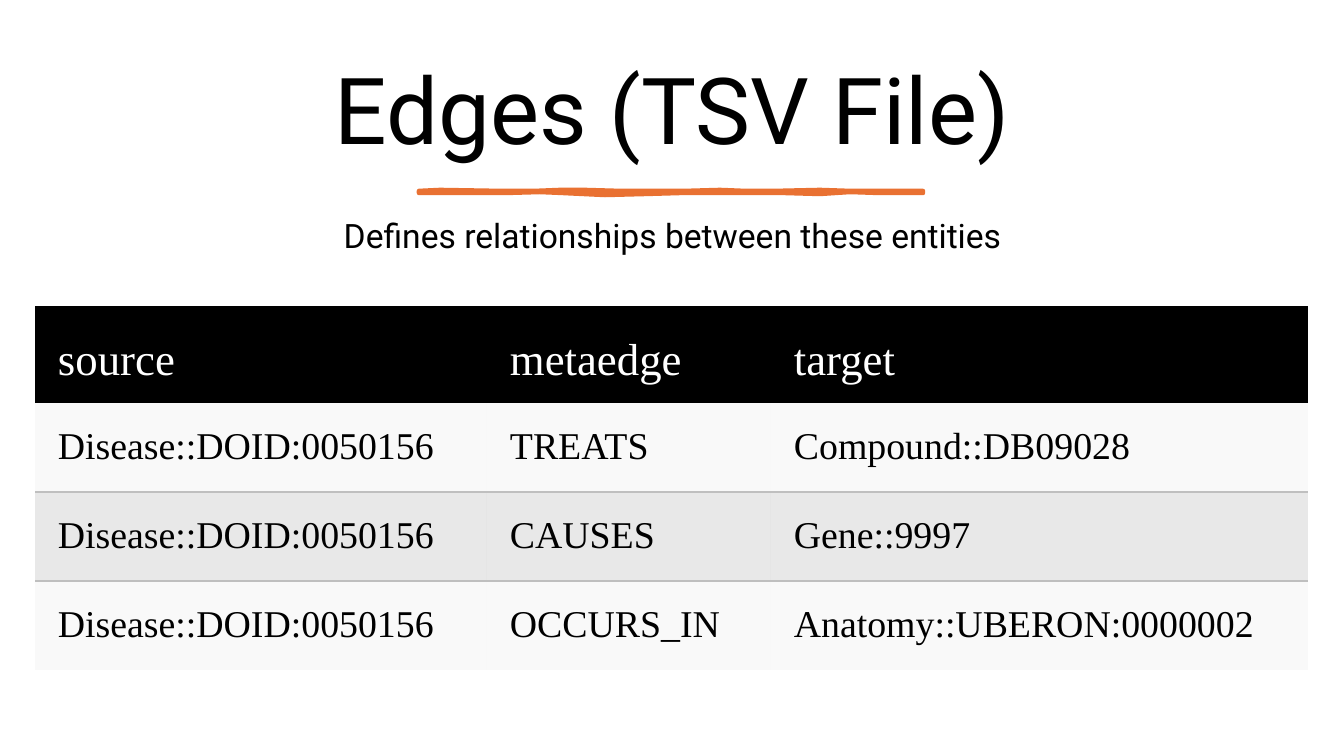
"""Build the slide that shows the edges table of a TSV file."""
from lxml import etree
from pptx import Presentation
from pptx.dml.color import RGBColor
from pptx.enum.text import MSO_ANCHOR, MSO_AUTO_SIZE, PP_ALIGN
from pptx.oxml.ns import qn
from pptx.util import Inches, Pt

PX = Inches(7.5) / 756
CENTER, LEFT = PP_ALIGN.CENTER, PP_ALIGN.LEFT
MIDDLE, TOP = MSO_ANCHOR.MIDDLE, MSO_ANCHOR.TOP
NO_AUTOFIT = MSO_AUTO_SIZE.NONE
BLACK = RGBColor(0x00, 0x00, 0x00)
WHITE = RGBColor(0xFF, 0xFF, 0xFF)
ORANGE = RGBColor(0xE9, 0x71, 0x32)
LIGHT_GRAY = RGBColor(0xF2, 0xF2, 0xF2)
GRAY = RGBColor(0xBF, 0xBF, 0xBF)
PLAIN_TABLE_STYLE = "{2D5ABB26-0587-4C30-8999-92F81FD0307C}"


def px(length):
    return round(length * PX)


def write_text(frame, text, *, size, font, color=BLACK, align=LEFT, spacing=1.0, before=0):
    frame.word_wrap = True
    paragraph = frame.paragraphs[0]
    paragraph.alignment = align
    paragraph.line_spacing = spacing
    paragraph.space_before = Pt(before)
    run = paragraph.add_run()
    run.text = text
    run.font.size = Pt(size)
    run.font.name = font
    run.font.color.rgb = color


presentation = Presentation()
presentation.slide_width = px(1344)
presentation.slide_height = px(756)
slide = presentation.slides.add_slide(presentation.slide_layouts[5])

title = slide.shapes.title
title.left, title.top, title.width, title.height = px(71), px(46), px(1203), px(138)
subtitle = slide.shapes.add_textbox(px(71), px(200), px(1203), px(76))
for shape in (title, subtitle):
    shape.text_frame.auto_size = NO_AUTOFIT
    shape.text_frame.vertical_anchor = MIDDLE
write_text(title.text_frame, "Edges (TSV File)", size=66, font="Roboto", align=CENTER, spacing=0.9)
write_text(subtitle.text_frame, "Defines relationships between these entities",
           size=24, font="Roboto", align=CENTER, spacing=0.9, before=10)

upper_edge = [(419, 191), (440, 190), (500, 191), (535, 191), (560, 190), (585, 190),
              (620, 191), (685, 191), (720, 190), (745, 191), (775, 191), (820, 190),
              (850, 191), (923, 191)]
lower_edge = [(923, 193), (880, 193), (850, 192), (820, 194), (785, 193), (720, 193),
              (680, 193), (645, 194), (605, 195), (563, 193), (540, 192), (505, 193), (419, 193)]
builder = slide.shapes.build_freeform(*upper_edge[0], scale=PX)
builder.add_line_segments(upper_edge[1:] + lower_edge, close=True)
underline = builder.convert_to_shape()
underline.shadow.inherit = False
underline.fill.solid()
underline.fill.fore_color.rgb = ORANGE
underline.line.color.rgb = ORANGE
underline.line.width = Pt(3.25)

rows = [
    ("source", "metaedge", "target"),
    ("Disease::DOID:0050156", "TREATS", "Compound::DB09028"),
    ("Disease::DOID:0050156", "CAUSES", "Gene::9997"),
    ("Disease::DOID:0050156", "OCCURS_IN", "Anatomy::UBERON:0000002"),
]
row_fills = [(BLACK, 100), (LIGHT_GRAY, 45), (GRAY, 35), (LIGHT_GRAY, 45)]
row_borders = {1: "a:lnB", 2: "a:lnT"}
row_heights = [97, 89, 89, 89]
column_widths = [452, 284, 537]

table = slide.shapes.add_table(len(rows), len(column_widths), px(35), px(306),
                               px(sum(column_widths)), px(sum(row_heights))).table
table.horz_banding = False
table._tbl.tblPr.find(qn("a:tableStyleId")).text = PLAIN_TABLE_STYLE
for column, width in zip(table.columns, column_widths):
    column.width = px(width)

for row_index, (texts, (fill, opacity)) in enumerate(zip(rows, row_fills)):
    is_header = row_index == 0
    table.rows[row_index].height = px(row_heights[row_index])
    for column_index, text in enumerate(texts):
        cell = table.cell(row_index, column_index)
        cell.margin_left = cell.margin_right = cell.margin_top = px(23)
        cell.margin_bottom = px(11)
        cell.vertical_anchor = MIDDLE if is_header else TOP
        write_text(cell.text_frame, text, size=32 if is_header else 27,
                   font="Times New Roman", color=WHITE if is_header else BLACK)
        cell.fill.solid()
        cell.fill.fore_color.rgb = fill
        properties = cell._tc.get_or_add_tcPr()
        if opacity < 100:
            fill_color = properties.find(".//" + qn("a:srgbClr"))
            etree.SubElement(fill_color, qn("a:alpha"), val=str(opacity * 1000))
        if row_index in row_borders:
            border = etree.Element(qn(row_borders[row_index]), w=str(Pt(1)))
            border_fill = etree.SubElement(border, qn("a:solidFill"))
            etree.SubElement(border_fill, qn("a:srgbClr"), val=str(GRAY))
            properties.insert(0, border)

presentation.save("out.pptx")
